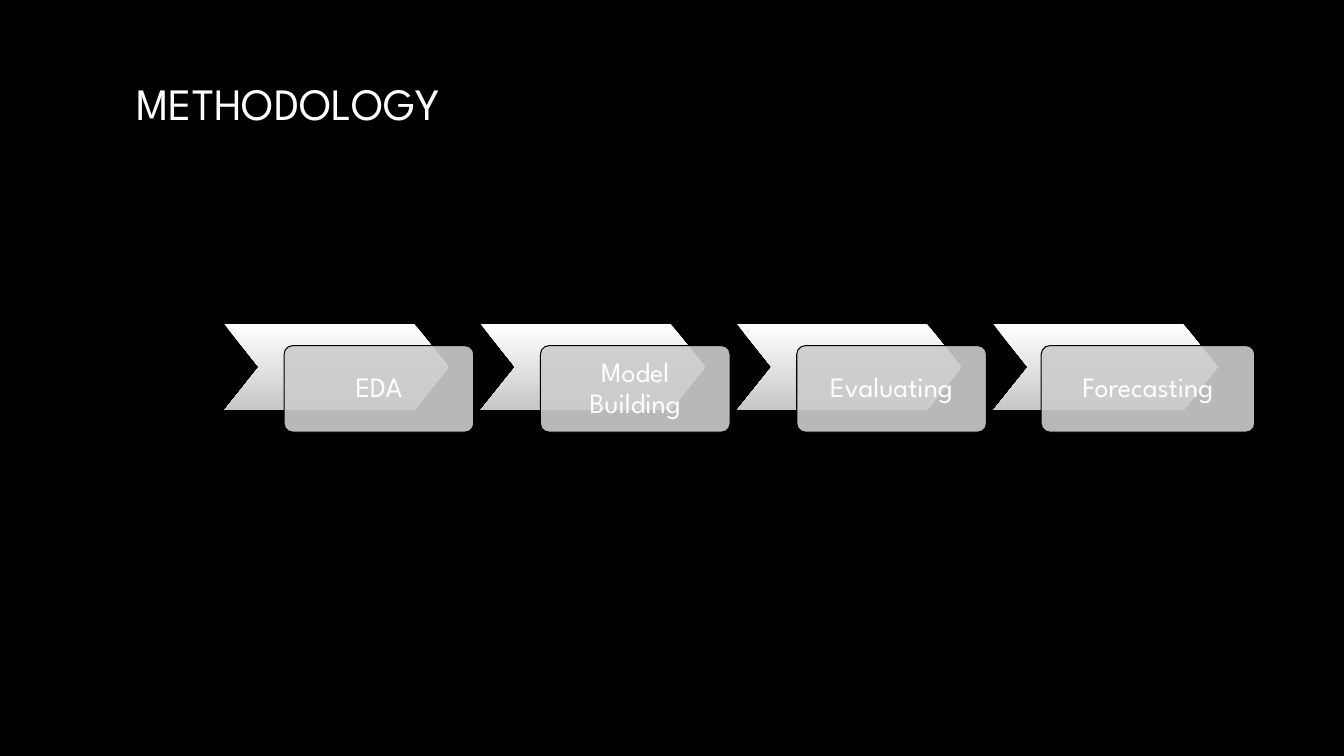
from lxml.etree import SubElement
from pptx import Presentation
from pptx.dml.color import RGBColor
from pptx.enum.shapes import MSO_SHAPE as Preset
from pptx.enum.text import MSO_ANCHOR as Anchor, PP_ALIGN as Align
from pptx.oxml.ns import qn
from pptx.util import Cm, Pt

BLACK = RGBColor(0x00, 0x00, 0x00)
WHITE = RGBColor(0xFF, 0xFF, 0xFF)
SILVER = RGBColor(0xC7, 0xC7, 0xC7)
CARD_GREY = RGBColor(0xCC, 0xCC, 0xCC)

# Lengths in centimetres
STEP_LEFT, STEP_TOP, STEP_PITCH = 5.65, 8.16, 6.46
CHEVRON_WIDTH, STEP_HEIGHT = 5.66, 2.18
CARD_CENTER, CARD_DROP = 3.9, 0.55
STEPS = [("EDA", 4.78), ("Model Building", 4.78), ("Evaluating", 4.78), ("Forecasting", 5.38)]


def write_text(shape, text, size, align=Align.LEFT, line_spacing=1.0, inset=(0.25, 0.13)):
    """Fill a shape with one vertically centred paragraph; inset is (sides, top and bottom) in cm."""
    frame = shape.text_frame
    frame.word_wrap = True
    frame.vertical_anchor = Anchor.MIDDLE
    frame.margin_left = frame.margin_right = Cm(inset[0])
    frame.margin_top = frame.margin_bottom = Cm(inset[1])
    para = frame.paragraphs[0]
    para.alignment = align
    para.line_spacing = line_spacing
    span = para.add_run()
    span.text = text
    span.font.name = "League Spartan"
    span.font.size = Pt(size)
    span.font.color.rgb = WHITE


class ProcessPage:
    """A black page with a title and overlapping chevrons and cards."""

    def __init__(self, deck):
        self.page = deck.slides.add_slide(deck.slide_layouts[6])
        background = self.page.background.fill
        background.solid()
        background.fore_color.rgb = BLACK

    def title(self, text, left, top, width, height):
        box = self.page.shapes.add_textbox(Cm(left), Cm(top), Cm(width), Cm(height))
        write_text(box, text, 32)

    def preset(self, kind, left, top, width, height, adjustment):
        shape = self.page.shapes.add_shape(kind, Cm(left), Cm(top), Cm(width), Cm(height))
        shape.adjustments[0] = adjustment
        shape.shadow.inherit = False
        return shape

    def chevron(self, left, top):
        shape = self.preset(Preset.CHEVRON, left, top, CHEVRON_WIDTH, STEP_HEIGHT, 0.4)
        shape.line.fill.background()
        shape.fill.gradient()
        shape.fill.gradient_angle = 270
        for stop, color in zip(shape.fill.gradient_stops, (WHITE, SILVER)):
            stop.color.rgb = color

    def card(self, text, center, top, width):
        shape = self.preset(Preset.ROUNDED_RECTANGLE, center - width / 2, top, width, STEP_HEIGHT, 0.1)
        shape.fill.solid()
        shape.fill.fore_color.rgb = CARD_GREY
        color = shape.fill._xPr.find(qn("a:solidFill"))[0]
        SubElement(color, qn("a:alpha"), val="90000")
        shape.line.color.rgb = BLACK
        shape.line.width = Pt(0.75)
        write_text(shape, text, 20, Align.CENTER, 0.9, (0.41, 0.41))


def main():
    deck = Presentation()
    deck.slide_width, deck.slide_height = Cm(33.87), Cm(19.05)
    methodology = ProcessPage(deck)
    methodology.title("METHODOLOGY", 3.18, 1.7, 9.8, 1.78)
    for index, (name, card_width) in enumerate(STEPS):
        left = STEP_LEFT + index * STEP_PITCH
        methodology.chevron(left, STEP_TOP)
        methodology.card(name, left + CARD_CENTER, STEP_TOP + CARD_DROP, card_width)
    deck.save("out.pptx")


if __name__ == "__main__":
    main()
